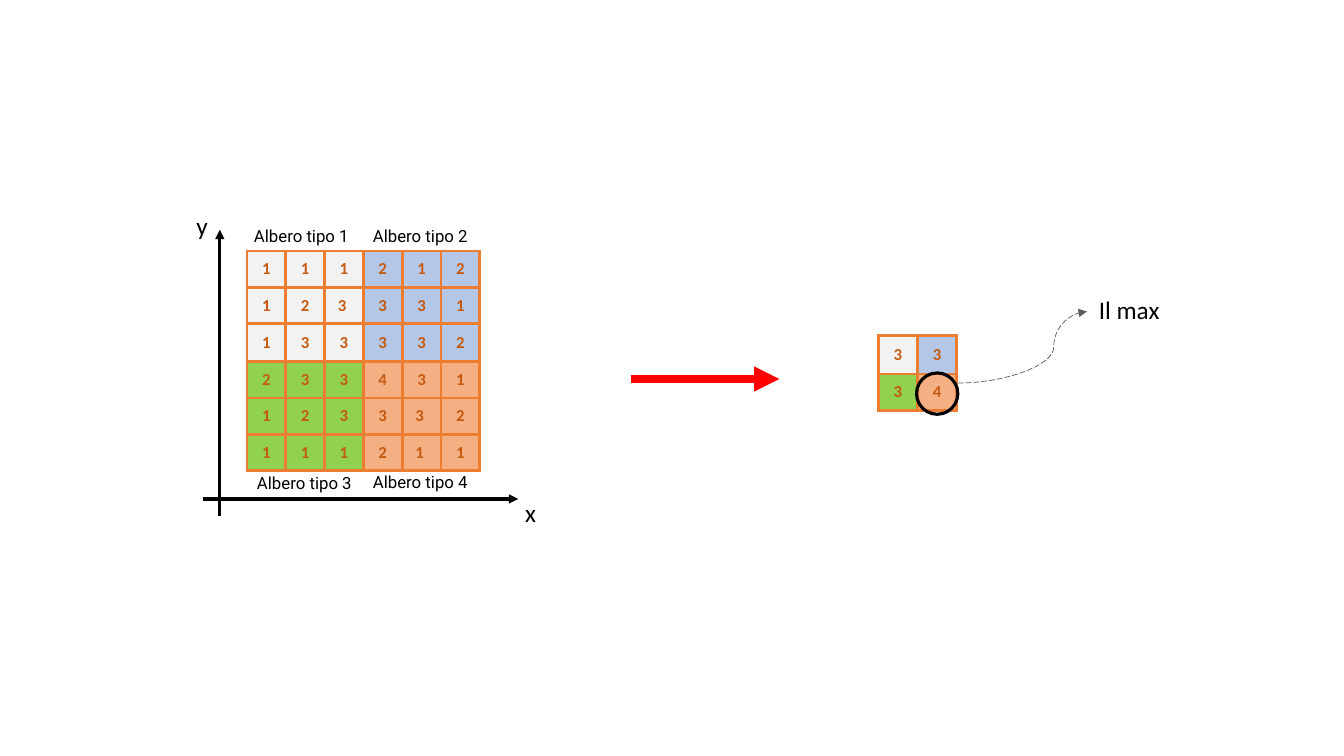
from lxml import etree
from pptx import Presentation
from pptx.dml.color import RGBColor
from pptx.enum.dml import MSO_LINE
from pptx.enum.shapes import MSO_CONNECTOR, MSO_SHAPE
from pptx.enum.text import MSO_ANCHOR, PP_ALIGN
from pptx.oxml.ns import qn
from pptx.util import Inches, Pt

STRAIGHT, CURVE = MSO_CONNECTOR.STRAIGHT, MSO_CONNECTOR.CURVE
OVAL, LONG_DASH = MSO_SHAPE.OVAL, MSO_LINE.LONG_DASH
MIDDLE, CENTER, LEFT = MSO_ANCHOR.MIDDLE, PP_ALIGN.CENTER, PP_ALIGN.LEFT

BLACK = RGBColor(0x00, 0x00, 0x00)
GRAY = RGBColor(0x59, 0x59, 0x59)
RED = RGBColor(0xFF, 0x00, 0x00)
BORDER = RGBColor(0xED, 0x7D, 0x31)
DIGIT = RGBColor(0xC5, 0x5A, 0x11)
# Fill of each quadrant, by row and column
QUADRANTS = (
    (RGBColor(0xF2, 0xF2, 0xF2), RGBColor(0xB4, 0xC7, 0xE7)),
    (RGBColor(0x92, 0xD0, 0x50), RGBColor(0xF4, 0xB0, 0x83)),
)

# Content: left, top, column width, row heights, values
POOLED = (8.71, 3.33, 0.39, (0.38, 0.36), (("3", "3"), ("3", "4")))
FOREST = (2.45, 2.49, 0.385, (0.36, 0.36, 0.38, 0.36, 0.36, 0.36), (
    ("1", "1", "1", "2", "1", "2"),
    ("1", "2", "3 ", "3", "3", "1"),
    ("1", "3", "3", "3", "3", "2"),
    ("2", "3", "3", "4", "3", "1"),
    ("1", "2", "3", "3", "3 ", "2"),
    ("1", "1", "1", "2", "1 ", "1"),
))
# Text, left, top, width, height, size, font
LABELS = (
    ("x", 5.11, 4.88, 0.3, 0.4, 18, "Calibri"),
    ("y", 1.85, 2.04, 0.3, 0.4, 18, "Calibri"),
    ("Il max", 10.8, 2.87, 0.9, 0.4, 18, "Calibri"),
    ("Albero tipo 1", 2.42, 2.19, 1.18, 0.3, 12, "Roboto"),
    ("Albero tipo 2", 3.6, 2.19, 1.28, 0.3, 12, "Roboto"),
    ("Albero tipo 3", 2.45, 4.64, 1.15, 0.3, 12, "Roboto"),
    ("Albero tipo 4", 3.6, 4.63, 1.15, 0.3, 12, "Roboto"),
)
# Start, end, colour, width
ARROWS = (
    ((2.01, 4.95), (5.14, 4.95), BLACK, 2.25),
    ((2.18, 5.12), (2.18, 2.28), BLACK, 2.25),
    ((6.26, 3.76), (7.73, 3.76), RED, 6),
)


def write_text(frame, text, size=12, font="Calibri", color=BLACK, bold=False, align=LEFT):
    paragraph = frame.paragraphs[0]
    paragraph.alignment = align
    run = paragraph.add_run()
    run.text = text
    run.font.size = Pt(size)
    run.font.name = font
    run.font.color.rgb = color
    run.font.bold = bold


def add_borders(cell, color, width):
    properties = cell._tc.get_or_add_tcPr()
    for index, side in enumerate(("a:lnL", "a:lnR", "a:lnT", "a:lnB")):
        line = etree.Element(qn(side), w=str(Pt(width)))
        fill = etree.SubElement(line, qn("a:solidFill"))
        etree.SubElement(fill, qn("a:srgbClr"), val=str(color))
        properties.insert(index, line)


def add_grid(slide, left, top, column_width, row_heights, values):
    count = len(values)
    frame = slide.shapes.add_table(
        count, count, Inches(left), Inches(top),
        Inches(column_width * count), Inches(sum(row_heights)))
    table = frame.table
    table.first_row = table.horz_banding = False
    for column in table.columns:
        column.width = Inches(column_width)
    for row, height in enumerate(row_heights):
        table.rows[row].height = Inches(height)
        for column, value in enumerate(values[row]):
            cell = table.cell(row, column)
            cell.vertical_anchor = MIDDLE
            cell.margin_left = cell.margin_right = Inches(0.07)
            cell.margin_top = cell.margin_bottom = 0
            cell.fill.solid()
            cell.fill.fore_color.rgb = QUADRANTS[row * 2 // count][column * 2 // count]
            add_borders(cell, BORDER, 2.25)
            write_text(cell.text_frame, value, color=DIGIT, bold=True, align=CENTER)


def add_arrow(slide, start, end, color, width, kind=STRAIGHT):
    points = [Inches(value) for value in (*start, *end)]
    connector = slide.shapes.add_connector(kind, *points)
    connector.line.color.rgb = color
    connector.line.width = Pt(width)
    etree.SubElement(connector.line._get_or_add_ln(), qn("a:tailEnd"), type="triangle")
    etree.SubElement(connector._element.spPr, qn("a:effectLst"))
    return connector


def main():
    presentation = Presentation()
    presentation.slide_width = Inches(13.33)
    presentation.slide_height = Inches(7.5)
    slide = presentation.slides.add_slide(presentation.slide_layouts[6])

    # Grids
    for grid in (POOLED, FOREST):
        add_grid(slide, *grid)

    # Axes and the arrow between the grids
    for arrow in ARROWS:
        add_arrow(slide, *arrow)

    # Ring around the maximum
    ring = slide.shapes.add_shape(OVAL, Inches(9.09), Inches(3.7), Inches(0.41), Inches(0.41))
    ring.shadow.inherit = False
    ring.fill.background()
    ring.line.color.rgb = BLACK
    ring.line.width = Pt(2.25)

    # Curved pointer to the maximum label, bending at 74.3 % of its width
    pointer = add_arrow(slide, (9.5, 3.8), (10.78, 3.09), GRAY, 0.5, kind=CURVE)
    pointer.line.dash_style = LONG_DASH
    geometry = pointer._element.spPr.find(qn("a:prstGeom"))
    guides = geometry.find(qn("a:avLst"))
    etree.SubElement(guides, qn("a:gd"), name="adj1", fmla="val 74300")

    # Labels
    for text, left, top, width, height, size, font in LABELS:
        box = slide.shapes.add_textbox(Inches(left), Inches(top), Inches(width), Inches(height))
        box.text_frame.word_wrap = True
        write_text(box.text_frame, text, size=size, font=font)

    presentation.save("out.pptx")


if __name__ == "__main__":
    main()
